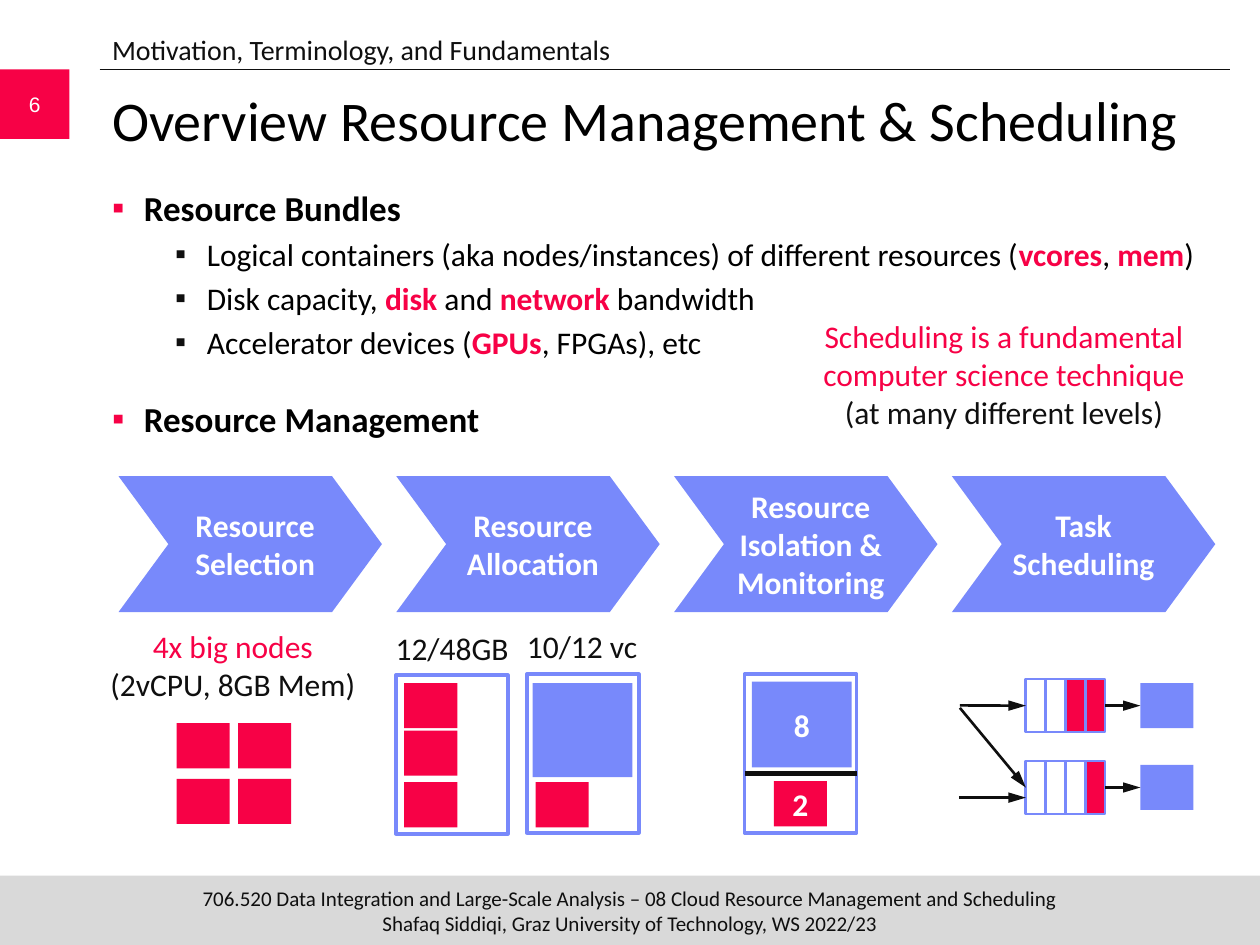
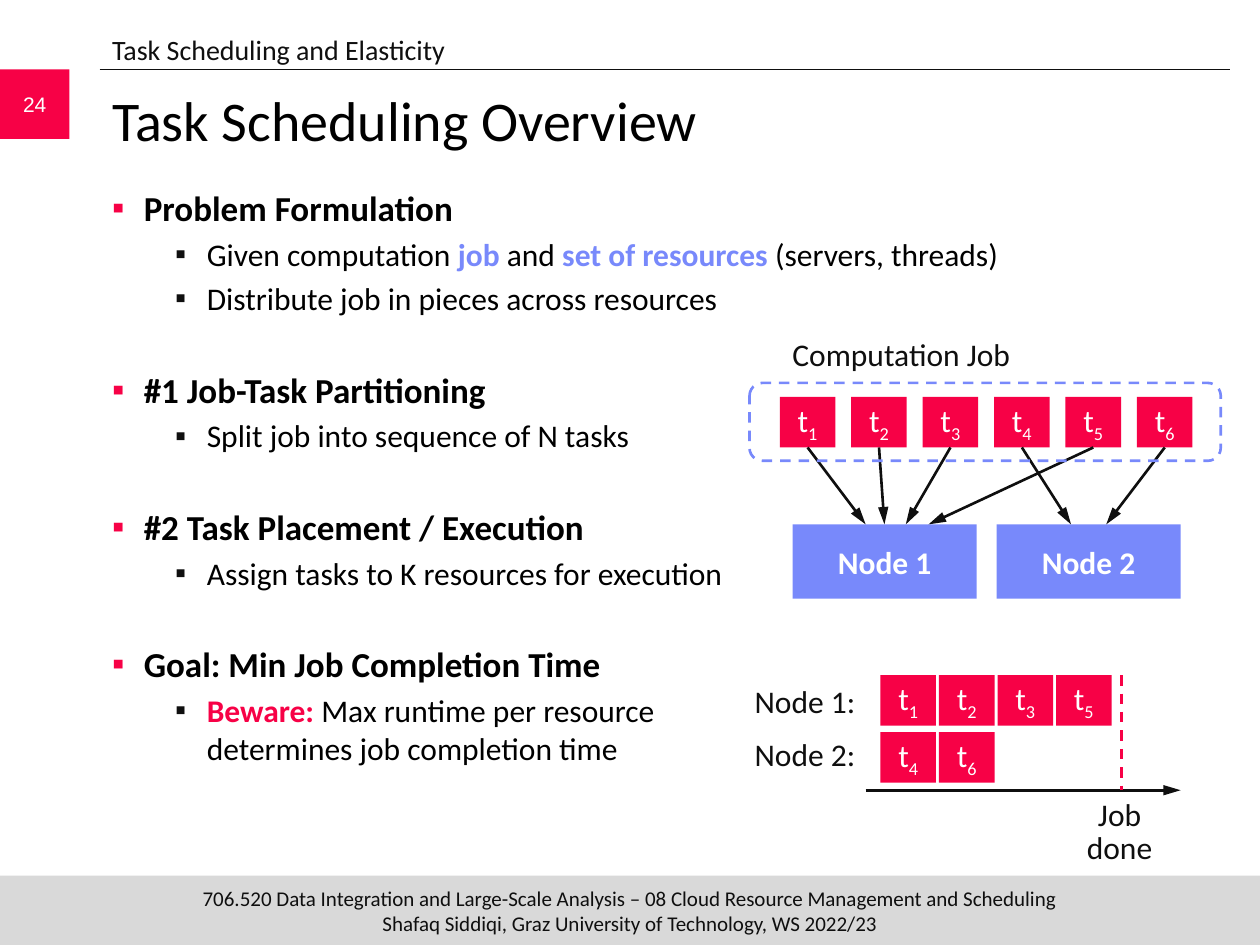
"""Builds two lecture slides on resource management and task scheduling."""
from lxml.etree import SubElement
from pptx import Presentation
from pptx.dml.color import RGBColor
from pptx.enum.dml import MSO_LINE
from pptx.enum.shapes import MSO_CONNECTOR, MSO_SHAPE
from pptx.enum.text import MSO_ANCHOR, MSO_AUTO_SIZE, PP_ALIGN
from pptx.oxml.ns import qn
from pptx.util import Cm, Pt

RED = RGBColor(0xF7, 0x01, 0x46)
BLUE = RGBColor(0x78, 0x89, 0xFB)
GREY = RGBColor(0xD9, 0xD9, 0xD9)
INK = RGBColor(0x0F, 0x0F, 0x0F)
BLACK = RGBColor(0, 0, 0)
WHITE = RGBColor(255, 255, 255)

FOOTER = ("706.520 Data Integration and Large-Scale Analysis – 08 Cloud Resource Management and Scheduling\n"
          "Shafaq Siddiqi, Graz University of Technology, WS 2022/23")
LEVELS = [
    {"size": 20, "bold": True, "bullet": RED, "margin": 0.64},
    {"size": 18, "bold": False, "bullet": INK, "margin": 1.91},
]
HANG = 0.64
STEP = 3.6

MANAGEMENT = {
    "number": "6",
    "section": "Motivation, Terminology, and Fundamentals",
    "title": "Overview Resource Management & Scheduling",
    "body": [
        (0, 0, ["Resource Bundles"]),
        (1, STEP, ["Logical containers (aka nodes/instances) of different resources (",
                   ("vcores", RED), ", ", ("mem", RED), ")"]),
        (1, STEP, ["Disk capacity, ", ("disk", RED), " and ", ("network", RED), " bandwidth"]),
        (1, STEP, ["Accelerator devices (", ("GPUs", RED), ", FPGAs), etc"]),
        (0, 20.8, ["Resource Management"]),
    ],
}
OVERVIEW = {
    "number": "24",
    "section": "Task Scheduling and Elasticity",
    "title": "Task Scheduling Overview",
    "body": [
        (0, 0, ["Problem Formulation"]),
        (1, STEP, ["Given computation ", ("job", BLUE), " and ", ("set of resources", BLUE),
                   " (servers, threads)"]),
        (1, STEP, ["Distribute job in pieces across resources"]),
        (0, 29.3, ["#1 Job-Task Partitioning"]),
        (1, STEP, ["Split job into sequence of N tasks"]),
        (0, 29.3, ["#2 Task Placement / Execution"]),
        (1, STEP, ["Assign tasks to K resources for execution"]),
        (0, 29.3, ["Goal: Min Job Completion Time"]),
        (1, STEP, [("Beware:", RED), " Max runtime per resource\ndetermines job completion time"]),
    ],
}

STAGES = ["Resource Selection", "Resource Allocation", "Resource Isolation & Monitoring", "Task Scheduling"]
MANAGEMENT_LABELS = [
    ((2.03, 12.52, 5.33, 1.8), [("4x big nodes", RED), "\n(2vCPU, 8GB Mem)"]),
    ((7.82, 12.55, 2.59, 1.02), ["12/48GB"]),
    ((10.44, 12.52, 2.59, 1.02), ["10/12 vc"]),
    ((16, 6.27, 8.48, 2.57), [("Scheduling is a fundamental computer science technique", RED),
                              "\n(at many different levels)"]),
]
UNIT = (1.07, 0.91)
INSTANCES = [(left, top) for left in (3.56, 4.8) for top in (14.58, 15.7)]
ALLOCATED = [(8.15, 13.77), (8.15, 14.73), (8.15, 15.77), (10.8, 15.77)]
FRAMES = [(7.98, 13.61), (10.62, 13.59), (15.01, 13.59)]
QUEUES = [(13.69, 13.77, 2), (15.34, 15.42, 1)]
QUEUE_LEFT, CELL, CELLS = 20.68, (0.4, 1.07), 4

TASK = (1.12, 1.02)
TASK_ENDS = [17.45, 17.83, 18.26, 21.59, 18.72, 22.3]
NODES = [("Node 1", 15.98), ("Node 2", 20.09)]
NODE_TOP = 10.57
SCHEDULE = [("Node 1:", 13.61, 13.61, "1235"), ("Node 2:", 14.69, 14.76, "46")]


def write(paragraph, spans, color=INK, size=18, bold=False, name="Calibri", accent_bold=False):
    """Write plain or (text, colour) spans, turning newlines into line breaks."""
    for part in spans:
        text, tint = part if isinstance(part, tuple) else (part, None)
        form = {"size": Pt(size), "name": name, "bold": bold or bool(tint and accent_bold)}
        for index, line in enumerate(text.split("\n")):
            if index:
                paragraph.add_line_break()
            if line:
                span = paragraph.add_run()
                span.text = line
                for key, value in form.items():
                    setattr(span.font, key, value)
                span.font.color.rgb = tint or color


def set_frame(box, insets=(0.25, 0.13, 0.25, 0.13), anchor=MSO_ANCHOR.TOP):
    """Set wrapping, insets and anchor, and return the text frame."""
    frame = box.text_frame
    left, top, right, bottom = map(Cm, insets)
    form = {"word_wrap": True, "auto_size": MSO_AUTO_SIZE.NONE, "vertical_anchor": anchor,
            "margin_left": left, "margin_top": top, "margin_right": right, "margin_bottom": bottom}
    for key, value in form.items():
        setattr(frame, key, value)
    return frame


def add_box(page, place, fill=None, line=None, width=1.5, kind=MSO_SHAPE.RECTANGLE):
    """Add a preset shape with a flat fill and an optional outline."""
    box = page.shapes.add_shape(kind, *map(Cm, place))
    box.shadow.inherit = False
    if fill is None:
        box.fill.background()
    else:
        box.fill.solid()
        box.fill.fore_color.rgb = fill
    if line is None:
        box.line.fill.background()
    else:
        box.line.color.rgb = line
        box.line.width = Pt(width)
    return box


def fill_text(box, spans, insets=(0, 0, 0, 0), **form):
    """Write centred text in the middle of a shape."""
    paragraph = set_frame(box, insets, MSO_ANCHOR.MIDDLE).paragraphs[0]
    paragraph.alignment = PP_ALIGN.CENTER
    write(paragraph, spans, **form)
    return paragraph


def add_label(page, place, spans):
    """Add a centred text box and return its paragraph."""
    box = page.shapes.add_textbox(*map(Cm, place))
    paragraph = set_frame(box, (0, 0.13, 0, 0.13)).paragraphs[0]
    paragraph.alignment = PP_ALIGN.CENTER
    write(paragraph, spans)
    return paragraph


def add_line(page, start, end, color=INK, width=1.5, arrow=False, dash=False):
    """Add a straight line, with an arrowhead or dashes if asked."""
    line = page.shapes.add_connector(MSO_CONNECTOR.STRAIGHT, *map(Cm, start + end))
    line.line.color.rgb = color
    line.line.width = Pt(width)
    if dash:
        line.line.dash_style = MSO_LINE.DASH
    if arrow:
        SubElement(line.line._get_or_add_ln(), qn("a:tailEnd"), type="triangle", w="med", len="lg")
    SubElement(line._element.spPr, qn("a:effectLst"))
    return line


def add_bullet(paragraph, level):
    """Give a paragraph the bullet and indent of its level."""
    properties = paragraph._p.get_or_add_pPr()
    properties.set("marL", str(Cm(level["margin"])))
    properties.set("indent", str(-Cm(HANG)))
    color = SubElement(properties, qn("a:buClr"))
    SubElement(color, qn("a:srgbClr"), val=str(level["bullet"]))
    SubElement(properties, qn("a:buFont"), typeface="Arial")
    SubElement(properties, qn("a:buChar"), char="▪")


def add_page(deck, content):
    """Add a page with its band, rule, number, title, section and bullets."""
    page = deck.slides.add_slide(deck.slide_layouts[5])
    fill_text(add_box(page, (0, 17.65, 25.4, 1.4), GREY), [FOOTER], size=12)
    add_line(page, (2.01, 1.4), (24.79, 1.4), width=0.5)
    fill_text(add_box(page, (0, 1.4, 1.4, 1.4), RED), [content["number"]],
              color=WHITE, size=12, name="Arial")

    title = page.shapes.title
    title.left, title.top, title.width, title.height = map(Cm, (2.01, 1.6, 22.76, 2.11))
    heading = set_frame(title).paragraphs[0]
    heading.alignment = PP_ALIGN.LEFT
    write(heading, [content["title"]], BLACK, 32)

    section = page.shapes.add_textbox(*map(Cm, (2.01, 0.53, 22.86, 0.91)))
    write(set_frame(section).paragraphs[0], [content["section"]], size=16)

    body = set_frame(page.shapes.add_textbox(*map(Cm, (2.01, 3.63, 22.76, 13.72))))
    for index, (depth, gap, spans) in enumerate(content["body"]):
        paragraph = body.add_paragraph() if index else body.paragraphs[0]
        level = LEVELS[depth]
        paragraph.level = depth
        add_bullet(paragraph, level)
        paragraph.space_before = Pt(gap)
        write(paragraph, spans, BLACK, level["size"], level["bold"], accent_bold=True)
    return page


def add_queue(page, top, worker_top, waiting):
    """Draw a queue feeding a worker and return its first cell."""
    cells = []
    for index in range(CELLS):
        fill = RED if index >= CELLS - waiting else None
        cells.append(add_box(page, (QUEUE_LEFT + index * CELL[0], top, *CELL), fill, BLUE))
    worker = add_box(page, (22.99, worker_top, *UNIT), BLUE)
    arrow = add_line(page, (22.28, top), (22.99, top), arrow=True)
    arrow.begin_connect(cells[-1], 3)
    arrow.end_connect(worker, 1)
    return cells[0]


def draw_management(page):
    """Draw the stages and the sketch below each one."""
    for index, stage in enumerate(STAGES):
        chevron = add_box(page, (2.39 + 5.6 * index, 9.6, 5.31, 2.74), BLUE, kind=MSO_SHAPE.CHEVRON)
        chevron.adjustments[0] = 0.367
        inset = 0 if stage == STAGES[-1] else 0.2
        fill_text(chevron, [stage], (inset, 0.13, 0, 0.13), color=WHITE, bold=True)
    for place, spans in MANAGEMENT_LABELS:
        add_label(page, place, spans)
    for corner in FRAMES:
        add_box(page, (*corner, 2.26, 3.2), line=BLUE, width=2)
    for corner in INSTANCES + ALLOCATED:
        add_box(page, (*corner, *UNIT), RED)
    add_box(page, (10.74, 13.77, 2.01, 1.9), BLUE)
    fill_text(add_box(page, (15.6, 15.75, *UNIT), RED), ["2"], color=WHITE, bold=True)
    fill_text(add_box(page, (15.16, 13.74, 2.01, 1.73), BLUE), ["8"], color=WHITE, bold=True)
    add_line(page, (15.01, 15.6), (17.27, 15.6), width=2.75)

    upper, lower = [add_queue(page, *queue) for queue in QUEUES]
    for start, cell in (((19.35, 14.22), upper), ((19.35, 14.27), lower)):
        add_line(page, start, (QUEUE_LEFT, start[1]), arrow=True).end_connect(cell, 1)
    add_line(page, (19.33, 16.08), (QUEUE_LEFT, 16.08), arrow=True)


def add_task(page, left, top, number):
    """Add a task square with its number as a subscript."""
    box = add_box(page, (left, top, *TASK), RED)
    paragraph = fill_text(box, ["t", str(number)], color=WHITE)
    paragraph.runs[1]._r.get_or_add_rPr().set("baseline", "-25000")
    return box


def draw_overview(page):
    """Draw the placement of tasks on nodes and the resulting schedule."""
    for name, left in NODES:
        node = add_box(page, (left, NODE_TOP, 3.71, 1.5), BLUE)
        fill_text(node, [name], color=WHITE, bold=True)
    for index, end in enumerate(TASK_ENDS):
        task = add_task(page, 15.72 + 1.44 * index, 8, index + 1)
        add_line(page, (end, 9.02), (end, NODE_TOP), arrow=True).begin_connect(task, 2)
    job = add_box(page, (15.11, 7.72, 9.5, 1.57), line=BLUE, kind=MSO_SHAPE.ROUNDED_RECTANGLE)
    job.line.dash_style = MSO_LINE.DASH
    add_label(page, (15.72, 6.63, 4.9, 1.02), ["Computation Job"])

    add_line(page, (17.45, 15.93), (23.8, 15.93), arrow=True)
    for name, label_top, task_top, numbers in SCHEDULE:
        add_label(page, (15.11, label_top, 2.24, 1.02), [name])
        for index, number in enumerate(numbers):
            add_task(page, 17.75 + 1.18 * index, task_top, number)
    add_line(page, (22.61, 13.61), (22.61, 15.93), RED, dash=True)
    add_label(page, (21.49, 15.98, 2.16, 1.6), ["Job done"]).line_spacing = Pt(19)


def main():
    """Build both slides and save the deck."""
    deck = Presentation()
    deck.slide_width, deck.slide_height = Cm(25.4), Cm(19.05)
    draw_management(add_page(deck, MANAGEMENT))
    draw_overview(add_page(deck, OVERVIEW))
    deck.save("out.pptx")


if __name__ == "__main__":
    main()
